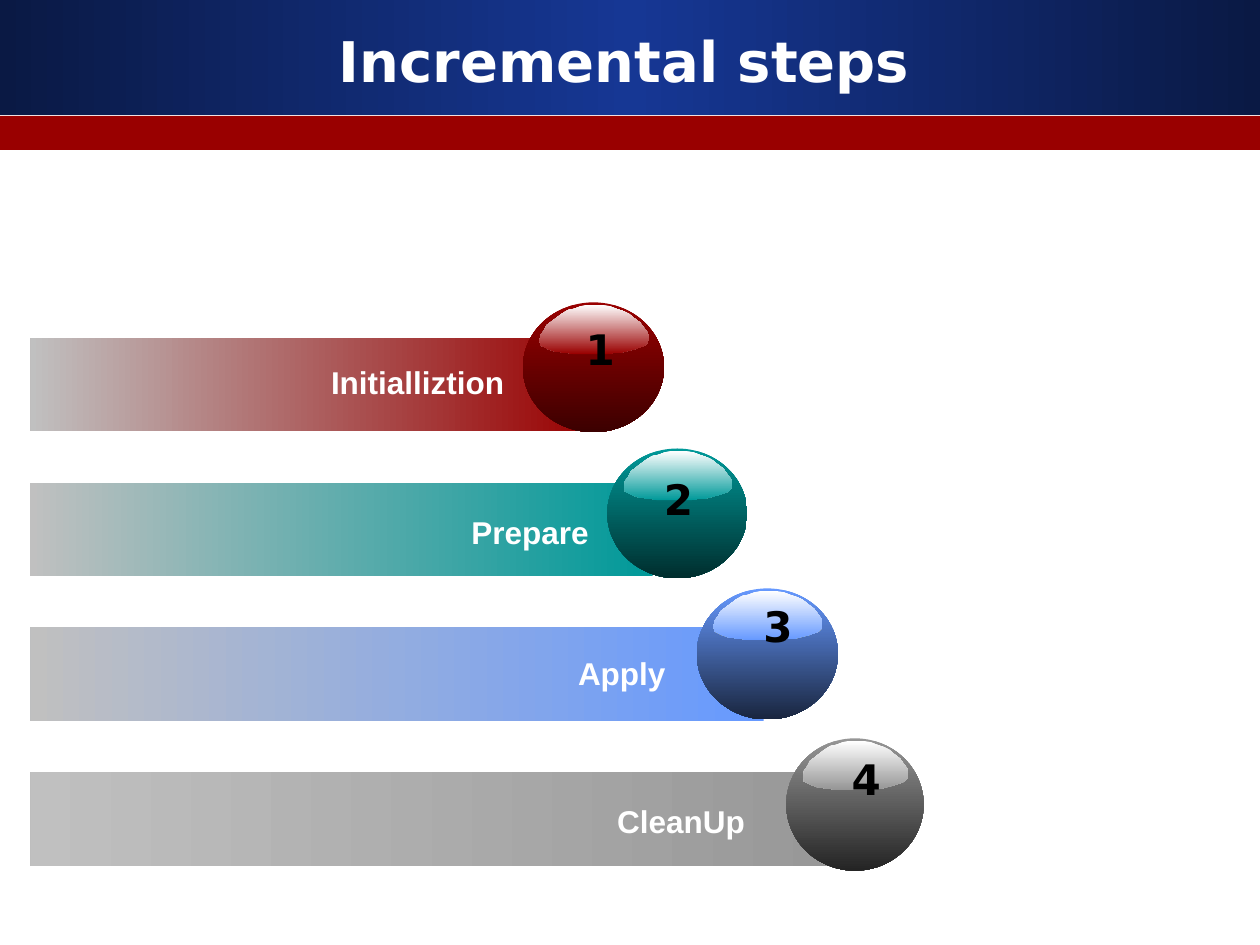
import copy
import pptx
import pptx.util
import pptx.dml.color
import pptx.enum.shapes
import pptx.enum.text

Inches = pptx.util.Inches
Shape = pptx.enum.shapes.MSO_SHAPE
Align = pptx.enum.text.PP_ALIGN
Anchor = pptx.enum.text.MSO_ANCHOR
Fit = pptx.enum.text.MSO_AUTO_SIZE

theme = {
    "navy": "0A1944", "blue": "163794", "red": "990000",
    "grey": "C0C0C0", "white": "FFFFFF", "black": "000000",
    "head": "DejaVu Sans", "body": "Arial",
    "title": 32, "digit": 24, "label": 18,
}

title = "Incremental steps"
steps = [
    {"label": "Initialliztion", "tint": "990000", "dark": "3C0000", "bar": 4.49,
     "ball": (4.15, 2.4, 1.12, 1.03), "digit": (4.55, 2.52), "text": (2.15, 2.83)},
    {"label": "Prepare", "tint": "009999", "dark": "002E2E", "bar": 4.94,
     "ball": (4.82, 3.56, 1.11, 1.03), "digit": (5.17, 3.71), "text": (2.82, 4.02)},
    {"label": "Apply", "tint": "6699FF", "dark": "19253E", "bar": 5.82,
     "ball": (5.53, 4.67, 1.12, 1.04), "digit": (5.96, 4.72), "text": (3.43, 5.14)},
    {"label": "CleanUp", "tint": "969696", "dark": "242424", "bar": 6.69,
     "ball": (6.24, 5.86, 1.09, 1.05), "digit": (6.66, 5.93), "text": (4.06, 6.32)},
]
gloss = [
    (86, 22), (87, 24), (87, 26), (87, 28), (86, 30), (84, 32), (82, 33),
    (79, 34), (76, 35), (72, 36), (68, 37), (64, 38), (59, 38), (54, 39),
    (32, 39), (27, 39), (23, 38), (19, 38), (16, 37), (13, 37), (10, 36),
    (7, 35), (5, 34), (3, 33), (1, 32), (1, 30), (0, 29), (0, 28), (1, 26),
    (1, 24), (4, 20), (6, 16), (10, 13), (14, 10), (18, 7), (23, 4), (28, 3),
    (33, 1), (38, 0), (44, 0), (50, 0), (56, 1), (61, 3), (67, 5), (71, 7),
    (76, 11), (80, 14), (83, 18),
]


def color(code):
    return pptx.dml.color.RGBColor.from_string(code)


def paint(shape, tones, angle=180):
    shape.shadow.inherit = False
    shape.line.fill.background()
    if len(tones) == 1:
        shape.fill.solid()
        shape.fill.fore_color.rgb = color(tones[0])
        return
    shape.fill.gradient()
    shape.fill.gradient_angle = angle
    stops = shape.fill._fill._gradFill.gsLst
    while len(stops) < len(tones):
        stops.append(copy.deepcopy(stops[0]))
    for num, (stop, tone) in enumerate(zip(shape.fill.gradient_stops, tones)):
        stop.position = num / (len(tones) - 1)
        stop.color.rgb = color(tone)


def block(shapes, kind, area, tones, angle=180):
    paint(shapes.add_shape(kind, *map(Inches, area)), tones, angle)


def write(shapes, text, area, size, font, tone="white", align=Align.CENTER,
          wrap=True, fit=Fit.SHAPE_TO_FIT_TEXT, anchor=Anchor.TOP):
    frame = shapes.add_textbox(*map(Inches, area)).text_frame
    frame.word_wrap = wrap
    frame.auto_size = fit
    frame.vertical_anchor = anchor
    para = frame.paragraphs[0]
    para.alignment = align
    run = para.add_run()
    run.text = text
    run.font.size = pptx.util.Pt(theme[size])
    run.font.name = theme[font]
    run.font.bold = True
    run.font.color.rgb = color(theme[tone])


def shine(shapes, ball, tint):
    left, top, width, _ = ball
    scale = (Inches(width - 0.25) / 87, Inches(0.39) / 39)
    form = shapes.build_freeform(*gloss[0], scale=scale)
    form.add_line_segments(gloss[1:], close=True)
    shape = form.convert_to_shape(Inches(left + 0.13), Inches(top + 0.02))
    paint(shape, [theme["white"], tint], 270)


def draw(shapes, num, step):
    tint = step["tint"]
    bar = (0.24, 2.68 + 1.15 * (num - 1), step["bar"], 0.74)
    block(shapes, Shape.RECTANGLE, bar, [tint, theme["grey"]])
    block(shapes, Shape.OVAL, step["ball"], [tint, step["dark"]], 270)
    shine(shapes, step["ball"], tint)
    write(shapes, str(num), (*step["digit"], 0.39, 0.5), "digit", "head",
          tone="black", wrap=False)
    write(shapes, step["label"], (*step["text"], 1.95, 0.4), "label", "body",
          align=Align.RIGHT)


def main():
    deck = pptx.Presentation()
    deck.slide_width, deck.slide_height = Inches(10), Inches(7.5)
    shapes = deck.slides.add_slide(deck.slide_layouts[6]).shapes
    block(shapes, Shape.RECTANGLE, (0, 0, 10, 0.91),
          [theme["navy"], theme["blue"], theme["navy"]])
    block(shapes, Shape.RECTANGLE, (0, 0.92, 10, 0.27), [theme["red"]])
    for num, step in enumerate(steps, 1):
        draw(shapes.add_group_shape().shapes, num, step)
    write(shapes, title, (0.33, 0.17, 9.25, 0.62), "title", "head",
          fit=Fit.NONE, anchor=Anchor.MIDDLE)
    deck.save("out.pptx")


if __name__ == "__main__":
    main()
